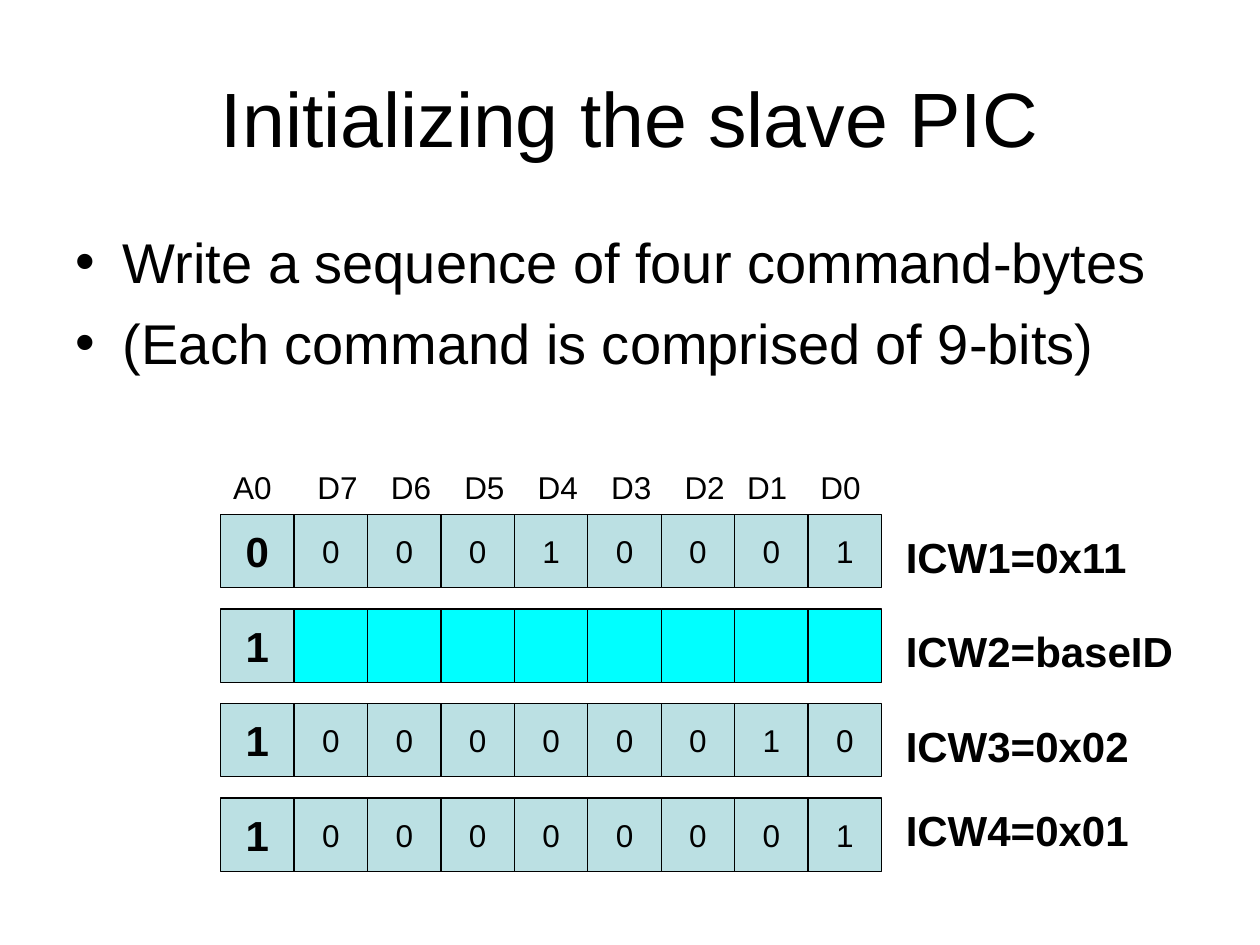
"""Build a slide with the four command bytes that set up the slave PIC."""
from pptx import Presentation
from pptx.dml.color import RGBColor
from pptx.enum.shapes import MSO_SHAPE
from pptx.enum.text import MSO_ANCHOR, PP_ALIGN
from pptx.util import Cm, Pt

RECT = MSO_SHAPE.RECTANGLE
MIDDLE, TOP = MSO_ANCHOR.MIDDLE, MSO_ANCHOR.TOP
LEFT, CENTER = PP_ALIGN.LEFT, PP_ALIGN.CENTER
COLORS = {"ink": "000000", "bit": "BBE0E3", "base": "00FFFF"}


def write(shape, text, size=18, bold=False, align=LEFT, anchor=TOP, wrap=False, gap=0):
    frame = shape.text_frame
    frame.text = text
    frame.word_wrap = wrap
    frame.vertical_anchor = anchor
    for para in frame.paragraphs:
        para.alignment = align
        para.space_before = Pt(gap)
        font = para.runs[0].font
        font.name = "Arial"
        font.size = Pt(size)
        font.bold = bold
        font.color.rgb = RGBColor.from_string(COLORS["ink"])


def place(shape, left, top, width, height):
    shape.left, shape.top = Cm(left), Cm(top)
    shape.width, shape.height = Cm(width), Cm(height)


deck = Presentation()
deck.slide_width, deck.slide_height = Cm(25.4), Cm(19.05)
slide = deck.slides.add_slide(deck.slide_layouts[1])
shapes = slide.shapes

title, body = slide.placeholders
place(title, 1.27, 0.76, 22.86, 3.18)
write(title, "Initializing the slave PIC", size=44, align=CENTER, anchor=MIDDLE, wrap=True)
place(body, 1.27, 4.45, 22.86, 12.57)
write(
    body,
    "Write a sequence of four command-bytes\n(Each command is comprised of 9-bits)",
    size=32, wrap=True, gap=8,
)

start, first = 4.45, 10.37
side, pitch = 1.48, 1.905
shift = 0.22

words = [
    ("000010001", "ICW1=0x11", 5.0, shift),
    ("1", "ICW2=baseID", 5.89, shift),
    ("100000010", "ICW3=0x02", 5.0, shift),
    ("100000001", "ICW4=0x01", 5.0, 0),
]
for row, (bits, name, width, drop) in enumerate(words):
    top = first + row * pitch
    for col in range(9):
        cell = shapes.add_shape(RECT, Cm(start + col * side), Cm(top), Cm(side), Cm(side))
        cell.shadow.inherit = False
        cell.fill.solid()
        fill = "bit" if col < len(bits) else "base"
        cell.fill.fore_color.rgb = RGBColor.from_string(COLORS[fill])
        cell.line.color.rgb = RGBColor.from_string(COLORS["ink"])
        cell.line.width = Pt(0.74)
        if col < len(bits):
            lead = col == 0
            write(cell, bits[col], size=24 if lead else 18, bold=lead,
                  align=CENTER, anchor=MIDDLE)
    label = shapes.add_textbox(Cm(18.01), Cm(top + drop), Cm(width), Cm(1.27))
    write(label, name, size=24, bold=True)

heads = ["A0", "D7", "D6", "D5", "D4", "D3", "D2", "D1", "D0"]
for col, name in enumerate(heads):
    nudge = shift if 1 <= col <= 6 else 0
    head = shapes.add_textbox(Cm(start + col * side + nudge), Cm(9.32), Cm(1.32), Cm(1.02))
    write(head, name)

deck.save("out.pptx")
